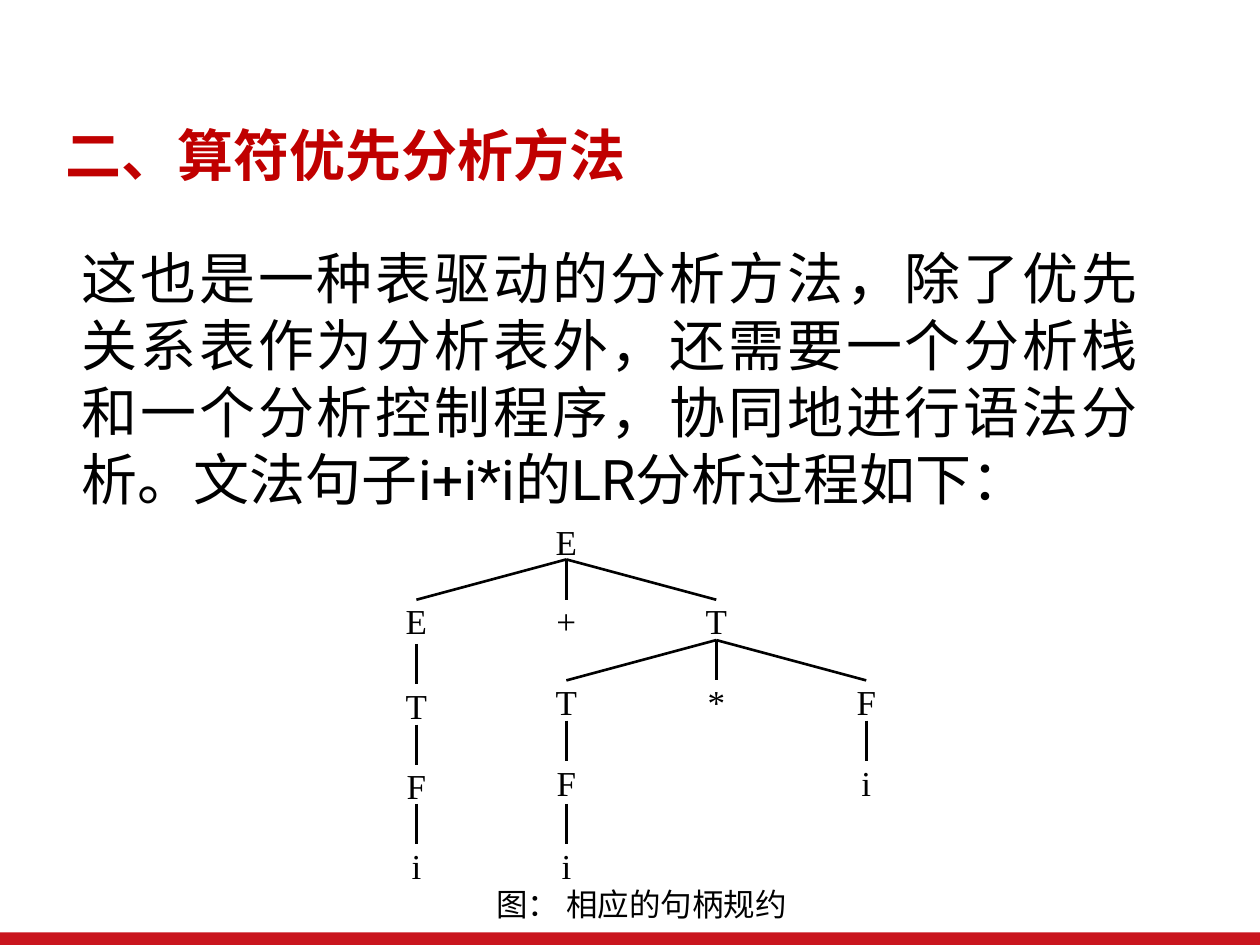
from pptx import Presentation
from pptx.dml.color import RGBColor
from pptx.enum.shapes import MSO_CONNECTOR, MSO_SHAPE
from pptx.enum.text import MSO_ANCHOR, MSO_AUTO_SIZE, PP_ALIGN
from pptx.util import Inches, Pt
from lxml import etree

LEFT, CENTER, JUSTIFY = PP_ALIGN.LEFT, PP_ALIGN.CENTER, PP_ALIGN.JUSTIFY
RED = RGBColor(0xC0, 0x00, 0x00)
BAR_RED = RGBColor(0xC9, 0x15, 0x1E)
BLACK = RGBColor(0, 0, 0)
SERIF, SANS = "Times New Roman", "Roboto"
A_NS = "http://schemas.openxmlformats.org/drawingml/2006/main"

# Tree grid: columns of equal width, one top per level
TREE_LEFT, COL_W, NODE_H = 2.71, 1.19, 0.32
ROW_TOPS = [4.13, 4.76, 5.4, 6.04, 6.7]
SHIFT = 0.03  # the left branch sits slightly lower

# Each node: text, column, row, column of its parent, extra drop
NODES = [
    ("E", 1, 0, None, 0),
    ("E", 0, 1, 1, 0), ("+", 1, 1, 1, 0), ("T", 2, 1, 1, 0),
    ("T", 0, 2, 0, SHIFT), ("T", 1, 2, 2, 0),
    ("*", 2, 2, 2, 0), ("F", 3, 2, 2, 0),
    ("F", 0, 3, 0, SHIFT), ("F", 1, 3, 1, 0), ("i", 3, 3, 3, 0),
    ("i", 0, 4, 0, 0), ("i", 1, 4, 1, 0),
]


def put_text(tf, text, size=20, font=SERIF, color=BLACK, bold=False,
             align=CENTER, spacing=None):
    tf.word_wrap = True
    p = tf.paragraphs[0]
    p.alignment = align
    if spacing:
        p.line_spacing = spacing
    r = p.add_run()
    r.text = text
    r.font.size, r.font.name, r.font.bold = Pt(size), font, bold
    r.font.color.rgb = color


def text_box(s, box, text, inset_y=0, **fmt):
    tf = s.shapes.add_textbox(*map(Inches, box)).text_frame
    tf.margin_top = tf.margin_bottom = Inches(inset_y)
    put_text(tf, text, **fmt)


def branch(s, x1, y1, x2, y2):
    c = s.shapes.add_connector(MSO_CONNECTOR.STRAIGHT,
                               *map(Inches, (x1, y1, x2, y2)))
    c.line.color.rgb = BLACK
    c.line.width = Pt(1.5)
    etree.SubElement(c._element.spPr, f"{{{A_NS}}}effectLst")


def col_center(col):
    return TREE_LEFT + (col + 0.5) * COL_W


def tree(s):
    for text, col, row, parent, drop in NODES:
        top = ROW_TOPS[row] + drop
        text_box(s, (TREE_LEFT + col * COL_W, top, COL_W, NODE_H), text)
        if parent is not None:
            branch(s, col_center(parent), top - NODE_H, col_center(col), top)


def main():
    prs = Presentation()
    prs.slide_width, prs.slide_height = Inches(10), Inches(7.5)
    s = prs.slides.add_slide(prs.slide_layouts[5])

    # Bottom bar
    bar = s.shapes.add_shape(MSO_SHAPE.RECTANGLE, 0, Inches(7.4),
                             prs.slide_width, Inches(0.1))
    bar.shadow.inherit = False
    bar.fill.solid()
    bar.fill.fore_color.rgb = BAR_RED
    bar.line.fill.background()

    # Title
    sp = s.shapes.title
    sp.left, sp.top, sp.width, sp.height = map(Inches, (0.42, 0.94, 9.16, 0.63))
    tf = sp.text_frame
    tf.auto_size = MSO_AUTO_SIZE.NONE
    tf.vertical_anchor = MSO_ANCHOR.MIDDLE
    put_text(tf, "二、算符优先分析方法", size=32, color=RED, bold=True,
             align=LEFT, spacing=0.9)

    # Body
    text_box(s, (0.55, 1.88, 8.58, 2.26),
             "这也是一种表驱动的分析方法，除了优先关系表作为分析表外，"
             "还需要一个分析栈和一个分析控制程序，协同地进行语法分析。"
             "文法句子i+i*i的LR分析过程如下：",
             inset_y=0.05, size=32, font=SANS, align=JUSTIFY)

    # Parse tree and caption
    tree(s)
    text_box(s, (TREE_LEFT, 7.02, 4 * COL_W, NODE_H), "图： 相应的句柄规约", size=18)

    prs.save("out.pptx")


main()
